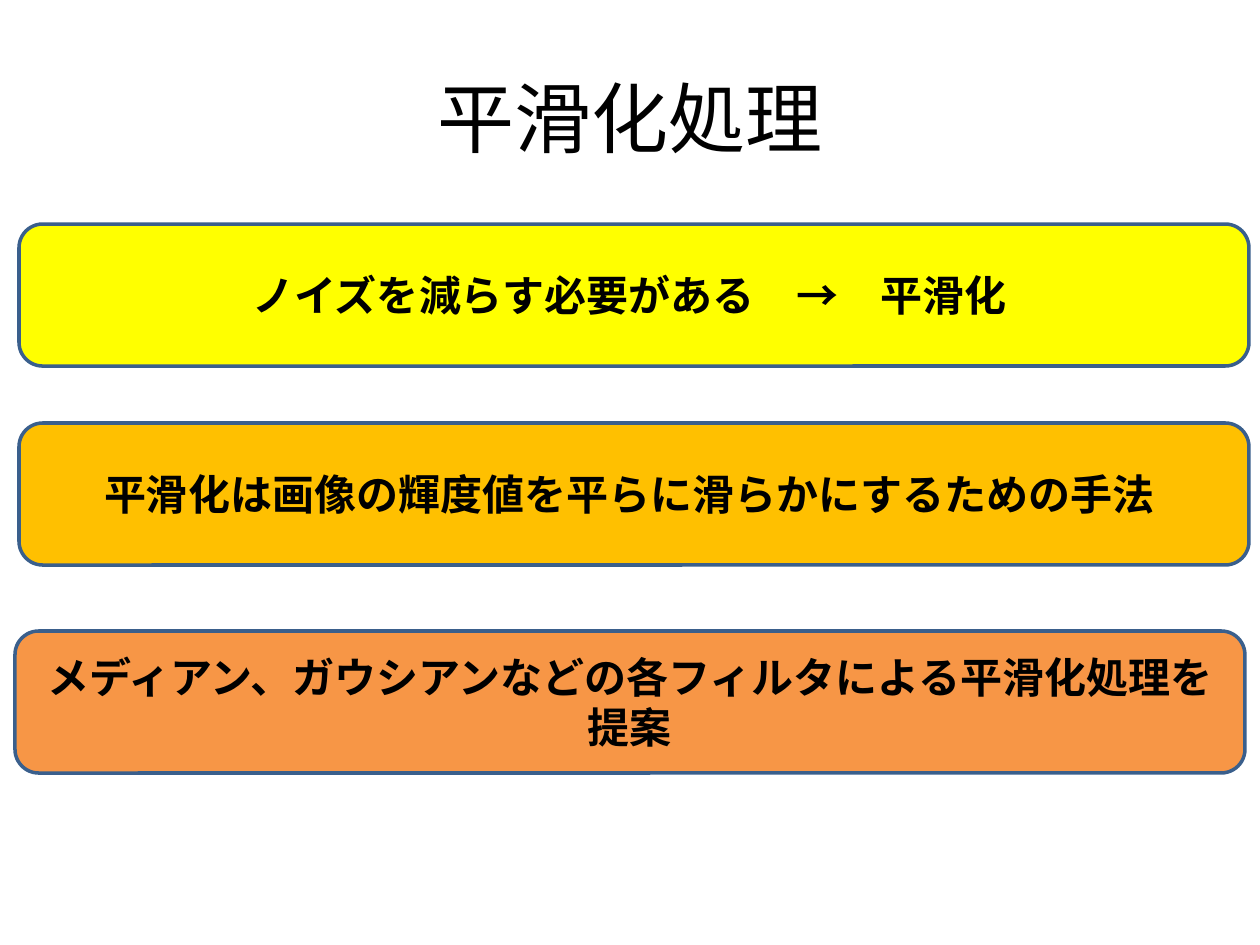
from pptx import Presentation
from pptx.dml.color import RGBColor
from pptx.enum.shapes import MSO_SHAPE
from pptx.enum.text import MSO_ANCHOR, PP_ALIGN
from pptx.util import Emu, Pt

ROUNDED = MSO_SHAPE.ROUNDED_RECTANGLE
MIDDLE = MSO_ANCHOR.MIDDLE
CENTER = PP_ALIGN.CENTER

BLACK = RGBColor(0x00, 0x00, 0x00)
YELLOW = RGBColor(0xFF, 0xFF, 0x00)
AMBER = RGBColor(0xFF, 0xC0, 0x00)
ORANGE = RGBColor(0xF7, 0x96, 0x46)
OUTLINE = RGBColor(0x3A, 0x5F, 0x8C)

FONT = "Calibri"
EMU_PER_PX = 914400 / 126
BOX_W, BOX_H = 1230, 142
BOXES = [
    (19, 224, YELLOW, "ノイズを減らす必要がある　→　平滑化 "),
    (19, 423, AMBER, "平滑化は画像の輝度値を平らに滑らかにするための手法 "),
    (15, 631, ORANGE, "メディアン、ガウシアンなどの各フィルタによる平滑化処理を提案"),
]


def px(n):
    return Emu(round(n * EMU_PER_PX))


class Deck:
    """Style and current slide, with one method per kind of element."""

    def __init__(self, width, height):
        self.prs = Presentation()
        self.prs.slide_width, self.prs.slide_height = px(width), px(height)
        self.slide = self.prs.slides.add_slide(self.prs.slide_layouts[5])

    def set_text(self, sp, text, size, bold):
        tf = sp.text_frame
        tf.text = text
        tf.word_wrap = True
        tf.vertical_anchor = MIDDLE
        p = tf.paragraphs[0]
        p.alignment = CENTER
        font = p.runs[0].font
        font.name, font.size, font.bold = FONT, Pt(size), bold
        font.color.rgb = BLACK

    def title(self, x, y, w, h, text):
        sp = self.slide.shapes.title
        sp.left, sp.top, sp.width, sp.height = map(px, (x, y, w, h))
        self.set_text(sp, text, 44, False)

    def box(self, x, y, w, h, fill, text):
        sp = self.slide.shapes.add_shape(ROUNDED, *map(px, (x, y, w, h)))
        sp.shadow.inherit = False
        sp.fill.solid()
        sp.fill.fore_color.rgb = fill
        sp.line.color.rgb = OUTLINE
        sp.line.width = Pt(2)
        self.set_text(sp, text, 24, True)


def main():
    deck = Deck(1260, 945)
    deck.title(63, 38, 1134, 157, "平滑化処理")
    for x, y, fill, text in BOXES:
        deck.box(x, y, BOX_W, BOX_H, fill, text)
    deck.prs.save("out.pptx")


if __name__ == "__main__":
    main()
